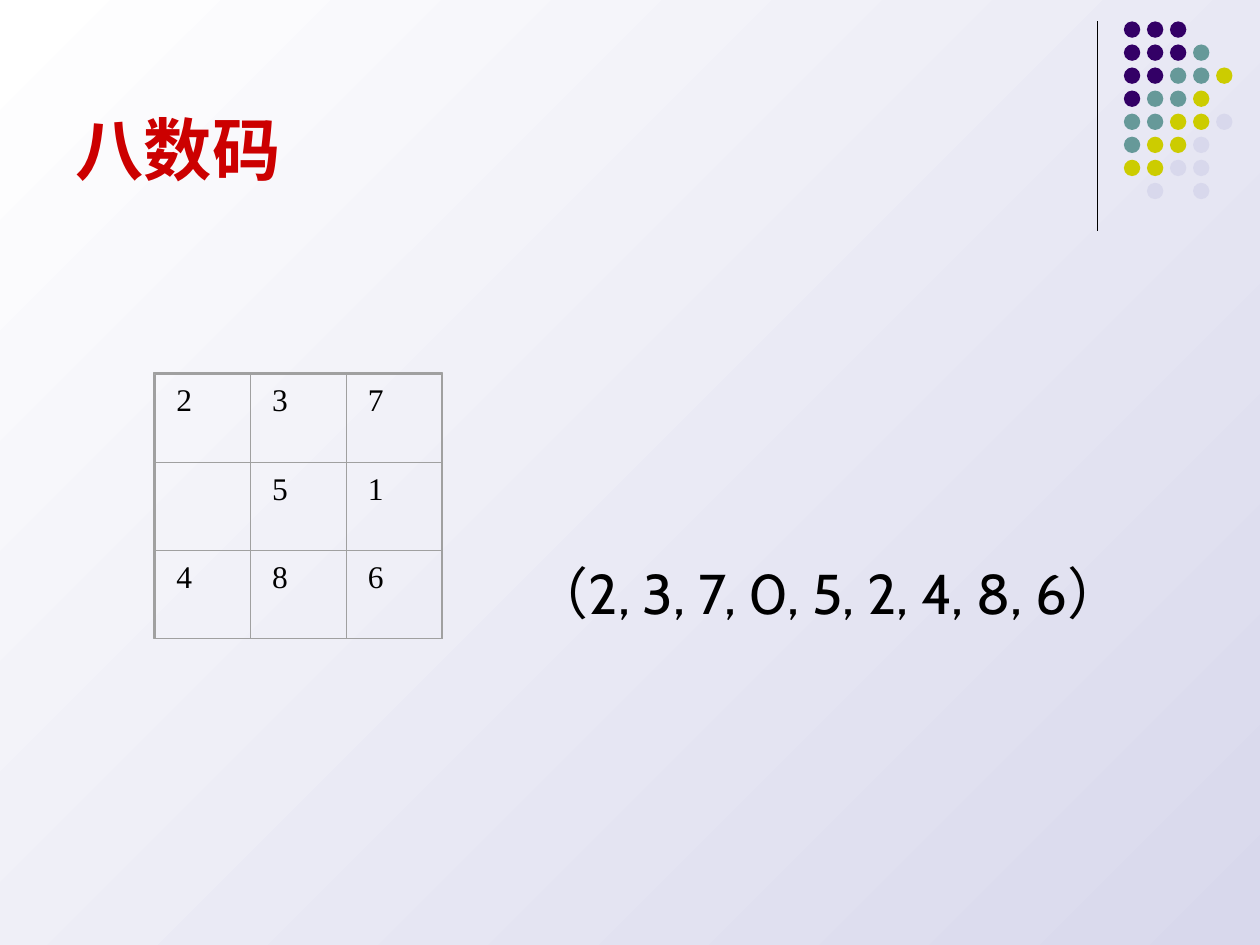
from dataclasses import dataclass

from lxml.etree import SubElement
from pptx import Presentation
from pptx.dml.color import RGBColor
from pptx.enum.shapes import MSO_CONNECTOR, MSO_SHAPE
from pptx.enum.text import MSO_ANCHOR as Anchor, MSO_AUTO_SIZE as AutoSize, PP_ALIGN as Align
from pptx.oxml.ns import qn
from pptx.shapes.group import GroupShape
from pptx.slide import Slide
from pptx.text.text import TextFrame
from pptx.util import Inches, Pt

BLACK = RGBColor(0x00, 0x00, 0x00)
WHITE = RGBColor(0xFF, 0xFF, 0xFF)
RED = RGBColor(0xCC, 0x00, 0x00)
GRAY = RGBColor(0xA0, 0xA0, 0xA0)
PURPLE = RGBColor(0x33, 0x00, 0x66)
TEAL = RGBColor(0x66, 0x99, 0x99)
OLIVE = RGBColor(0xCC, 0xCC, 0x00)
LAVENDER = RGBColor(0xD8, 0xD8, 0xEC)

DOT_COLORS = {"P": PURPLE, "T": TEAL, "O": OLIVE, "L": LAVENDER}
DOT_ROWS = ["PPP", "PPPT", "PPTTO", "PTTO", "TTOOL", "TOOL", "OOLL", " L L"]
BOARD_ROWS = ["237", " 51", "486"]


@dataclass(frozen=True)
class Grid:
    """Cells laid out at a fixed pitch, in inches."""
    left: float
    top: float
    column: float
    row: float

    def corner(self, column: int, row: int) -> tuple[int, int]:
        return (Inches(self.left + column * self.column),
                Inches(self.top + row * self.row))


@dataclass(frozen=True)
class TextStyle:
    font: str
    size: float
    color: RGBColor
    bold: bool = False
    align: Align = Align.LEFT


TITLE = TextStyle("Arial", 39, RED, bold=True)
DIGIT = TextStyle("Times New Roman", 18, BLACK, align=Align.JUSTIFY)
STATE = TextStyle("Cabin", 32, BLACK)

DOTS = Grid(8.92, 0.17, 0.183, 0.183)
DOT_SIZE = Inches(0.13)
BOARD = Grid(1.23, 2.97, 0.76, 0.7)


def write(frame: TextFrame, text: str, style: TextStyle) -> None:
    frame.word_wrap = True
    para = frame.paragraphs[0]
    para.alignment = style.align
    span = para.add_run()
    span.text = text
    span.font.name = style.font
    span.font.size = Pt(style.size)
    span.font.bold = style.bold
    span.font.color.rgb = style.color


def paint_background(page: Slide) -> None:
    fill = page.background.fill
    fill.gradient()
    fill.gradient_angle = 135
    for stop, color, position in zip(fill.gradient_stops, (LAVENDER, WHITE), (0, 1)):
        stop.color.rgb = color
        stop.position = position


def add_side_rule(page: Slide) -> None:
    rule = page.shapes.add_connector(
        MSO_CONNECTOR.STRAIGHT, Inches(8.71), Inches(0.17), Inches(8.71), Inches(1.83))
    rule.line.color.rgb = BLACK
    rule.line.width = Pt(0.75)
    SubElement(rule._element.spPr, qn("a:effectLst"))


def add_dots(page: Slide) -> None:
    group = page.shapes.add_group_shape()
    for row, letters in enumerate(DOT_ROWS):
        for column, letter in enumerate(letters):
            if letter in DOT_COLORS:
                dot = group.shapes.add_shape(
                    MSO_SHAPE.OVAL, *DOTS.corner(column, row), DOT_SIZE, DOT_SIZE)
                dot.shadow.inherit = False
                dot.fill.solid()
                dot.fill.fore_color.rgb = DOT_COLORS[letter]
                dot.line.fill.background()


def add_outline(group: GroupShape, left: int, top: int, width: float, height: float,
                weight: float, digit: str = "") -> None:
    """Add an unfilled rectangle, with a digit at its top left if one is given."""
    box = group.shapes.add_shape(
        MSO_SHAPE.RECTANGLE, left, top, Inches(width), Inches(height))
    box.shadow.inherit = False
    box.fill.background()
    box.line.color.rgb = GRAY
    box.line.width = Pt(weight)
    if digit:
        frame = box.text_frame
        frame.vertical_anchor = Anchor.TOP
        frame.margin_left = frame.margin_right = Inches(0.17)
        write(frame, digit, DIGIT)


def add_board(page: Slide) -> None:
    group = page.shapes.add_group_shape()
    for row, digits in enumerate(BOARD_ROWS):
        for column, digit in enumerate(digits):
            add_outline(group, *BOARD.corner(column, row), BOARD.column, BOARD.row,
                        0, digit.strip())
    add_outline(group, Inches(1.22), Inches(2.96), 2.29, 2.11, 0.75)


def set_title(page: Slide, text: str) -> None:
    title = page.shapes.title
    title.left, title.top = Inches(0.5), Inches(0.13)
    title.width, title.height = Inches(8.25), Inches(1.42)
    frame = title.text_frame
    frame.auto_size = AutoSize.NONE
    frame.vertical_anchor = Anchor.BOTTOM
    write(frame, text, TITLE)


def add_state(page: Slide, text: str) -> None:
    box = page.shapes.add_textbox(Inches(4.13), Inches(4.38), Inches(5.31), Inches(0.64))
    box.text_frame.auto_size = AutoSize.SHAPE_TO_FIT_TEXT
    write(box.text_frame, text, STATE)


def main() -> None:
    deck = Presentation()
    deck.slide_width, deck.slide_height = Inches(10), Inches(7.5)
    page = deck.slides.add_slide(deck.slide_layouts[5])
    paint_background(page)
    add_side_rule(page)
    add_dots(page)
    set_title(page, "八数码")
    add_board(page)
    add_state(page, "（2, 3, 7, 0, 5, 2, 4, 8, 6）")
    deck.save("out.pptx")


if __name__ == "__main__":
    main()
